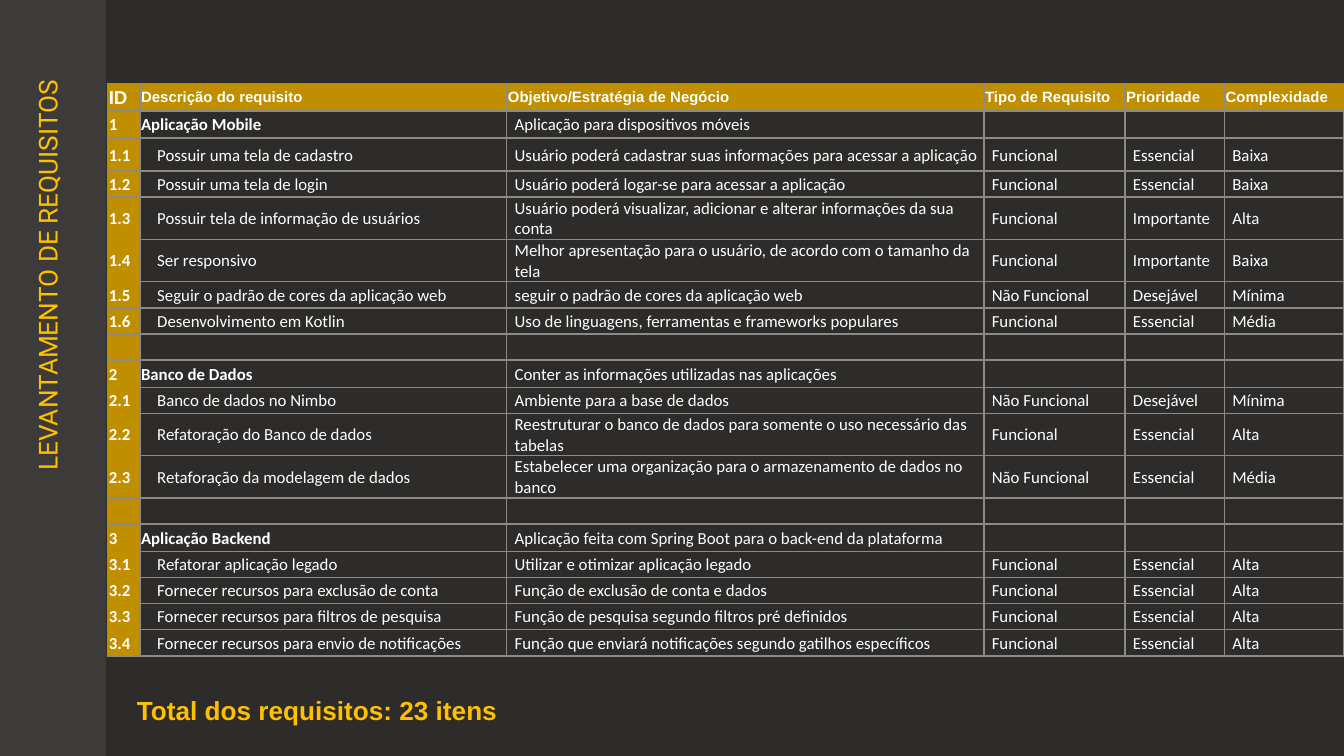
from lxml import etree
from pptx import Presentation, util as u
from pptx.dml.color import RGBColor
from pptx.enum import shapes, text
from pptx.oxml import parse_xml
from pptx.oxml.ns import nsdecls, qn

DARK = RGBColor(0x2D, 0x2C, 0x2B)
SIDE = RGBColor(0x3C, 0x3B, 0x39)
GOLD = RGBColor(0xBF, 0x8F, 0x00)
AMBER = RGBColor(0xFF, 0xC0, 0x00)
WHITE = RGBColor(0xFF, 0xFF, 0xFF)
GRID = RGBColor(0x8C, 0x8A, 0x86)

COLS = [0.24, 2.73, 3.55, 1.05, 0.74, 0.89]
BASE, HEAD, ROOMY, TALL = 14, 14.7, 17.7, 22.5  # row heights in points
EMPTY = ("",) * 6
ROWS = [
    (HEAD, "ID", "Descrição do requisito", "Objetivo/Estratégia de Negócio",
     "Tipo de Requisito", "Prioridade", "Complexidade"),
    (HEAD, "1", "Aplicação Mobile", "Aplicação para dispositivos móveis", "", "", ""),
    (ROOMY, "1.1", "Possuir uma tela de cadastro",
     "Usuário poderá cadastrar suas informações para acessar a aplicação",
     "Funcional", "Essencial", "Baixa"),
    (BASE, "1.2", "Possuir uma tela de login",
     "Usuário poderá logar-se para acessar a aplicação",
     "Funcional", "Essencial", "Baixa"),
    (TALL, "1.3", "Possuir tela de informação de usuários",
     "Usuário poderá visualizar, adicionar e alterar informações da sua conta",
     "Funcional", "Importante", "Alta"),
    (TALL, "1.4", "Ser responsivo",
     "Melhor apresentação para o usuário, de acordo com o tamanho da tela",
     "Funcional", "Importante", "Baixa"),
    (BASE, "1.5", "Seguir o padrão de cores da aplicação web",
     "seguir o padrão de cores da aplicação web",
     "Não Funcional", "Desejável", "Mínima"),
    (BASE, "1.6", "Desenvolvimento em Kotlin",
     "Uso de linguagens, ferramentas e frameworks populares",
     "Funcional", "Essencial", "Média"),
    (BASE, *EMPTY),
    (HEAD, "2", "Banco de Dados", "Conter as informações utilizadas nas aplicações",
     "", "", ""),
    (BASE, "2.1", "Banco de dados no Nimbo", "Ambiente para a base de dados",
     "Não Funcional", "Desejável", "Mínima"),
    (TALL, "2.2", "Refatoração do Banco de dados",
     "Reestruturar o banco de dados para somente o uso necessário das tabelas",
     "Funcional", "Essencial", "Alta"),
    (TALL, "2.3", "Retaforação da modelagem de dados",
     "Estabelecer uma organização para o armazenamento de dados no banco",
     "Não Funcional", "Essencial", "Média"),
    (BASE, *EMPTY),
    (HEAD, "3", "Aplicação Backend",
     "Aplicação feita com Spring Boot para o back-end da plataforma", "", "", ""),
    (BASE, "3.1", "Refatorar aplicação legado", "Utilizar e otimizar aplicação legado",
     "Funcional", "Essencial", "Alta"),
    (BASE, "3.2", "Fornecer recursos para exclusão de conta",
     "Função de exclusão de conta e dados", "Funcional", "Essencial", "Alta"),
    (BASE, "3.3", "Fornecer recursos para filtros de pesquisa",
     "Função de pesquisa segundo filtros pré definidos",
     "Funcional", "Essencial", "Alta"),
    (BASE, "3.4", "Fornecer recursos para envio de notificações",
     "Função que enviará notificações segundo gatilhos específicos",
     "Funcional", "Essencial", "Alta"),
]


def add_run(par, words, size, face, color, bold=False):
    run = par.add_run()
    run.text = words
    font = run.font
    font.size, font.name, font.bold = u.Pt(size), face, bold
    font.color.rgb = color


def add_edges(cell):
    props = cell._tc.get_or_add_tcPr()
    for spot, side in enumerate(("lnL", "lnR", "lnT", "lnB")):
        props.insert(spot, parse_xml(
            f'<a:{side} {nsdecls("a")} w="12700"><a:solidFill>'
            f'<a:srgbClr val="{GRID}"/></a:solidFill></a:{side}>'))


# Widescreen slide and background
prs = Presentation()
prs.slide_width = u.Inches(10)
prs.slide_height = prs.slide_width * 9 // 16
slide = prs.slides.add_slide(prs.slide_layouts[5])
slide.background.fill.solid()
slide.background.fill.fore_color.rgb = DARK

# Side band, behind the title
title = slide.shapes.title
band = slide.shapes.add_shape(shapes.MSO_SHAPE.RECTANGLE, u.Inches(-0.01),
                              u.Inches(-0.01), u.Inches(0.8), u.Inches(5.68))
band.shadow.inherit = False
band.fill.solid()
band.fill.fore_color.rgb = SIDE
band.line.fill.background()
title.element.addprevious(band.element)

# Title turned upwards
title.left, title.top = u.Inches(-1.59), u.Inches(2.22)
title.width, title.height = u.Inches(4.03), u.Inches(0.58)
title.rotation = 270
frame = title.text_frame
frame.margin_left = frame.margin_right = u.Inches(0.1)
frame.margin_top = frame.margin_bottom = u.Inches(0.1)
frame.vertical_anchor = text.MSO_ANCHOR.TOP
frame.auto_size = text.MSO_AUTO_SIZE.NONE
frame.word_wrap = True
par = frame.paragraphs[0]
par.alignment = text.PP_ALIGN.RIGHT
add_run(par, "LEVANTAMENTO DE REQUISITOS", 14, "Roboto", AMBER)

# Requirements table
total = sum(row[0] for row in ROWS)
table = slide.shapes.add_table(len(ROWS), len(COLS), u.Inches(0.8), u.Inches(0.62),
                               u.Inches(sum(COLS)), u.Pt(total)).table
table.first_row = table.horz_banding = False
for col, width in zip(table.columns, COLS):
    col.width = u.Inches(width)

for r, (height, *words) in enumerate(ROWS):
    table.rows[r].height = u.Pt(height)
    group = r > 0 and "." not in words[0]
    for c, word in enumerate(words):
        cell = table.cell(r, c)
        if r == 0 or c == 0:
            cell.fill.solid()
            cell.fill.fore_color.rgb = GOLD
        else:
            cell.fill.background()
        add_edges(cell)

        # Items are indented under their group
        if r == 0 or c == 0 or (c == 1 and group):
            left = 0.01
        else:
            left = 0.13 if c == 1 else 0.06
        cell.margin_left = u.Inches(left)
        cell.margin_top = cell.margin_right = u.Inches(0.01)
        cell.margin_bottom = 0
        cell.vertical_anchor = text.MSO_ANCHOR.MIDDLE

        par = cell.text_frame.paragraphs[0]
        if not word:
            # Small end mark keeps empty rows low
            etree.SubElement(par._p, qn("a:endParaRPr"), sz="900")
        elif r == 0:
            add_run(par, word, 10 if c == 0 else 8, "Arial", WHITE, True)
        else:
            add_run(par, word, 9, "Calibri", WHITE, c == 0 or (c == 1 and group))

# Total
box = slide.shapes.add_textbox(u.Inches(0.92), u.Inches(5.12),
                               u.Inches(3.7), u.Inches(0.34))
box.text_frame.word_wrap = True
box.text_frame.auto_size = text.MSO_AUTO_SIZE.SHAPE_TO_FIT_TEXT
add_run(box.text_frame.paragraphs[0], "Total dos requisitos: 23 itens",
        14, "Arial", AMBER, True)

prs.save("out.pptx")
